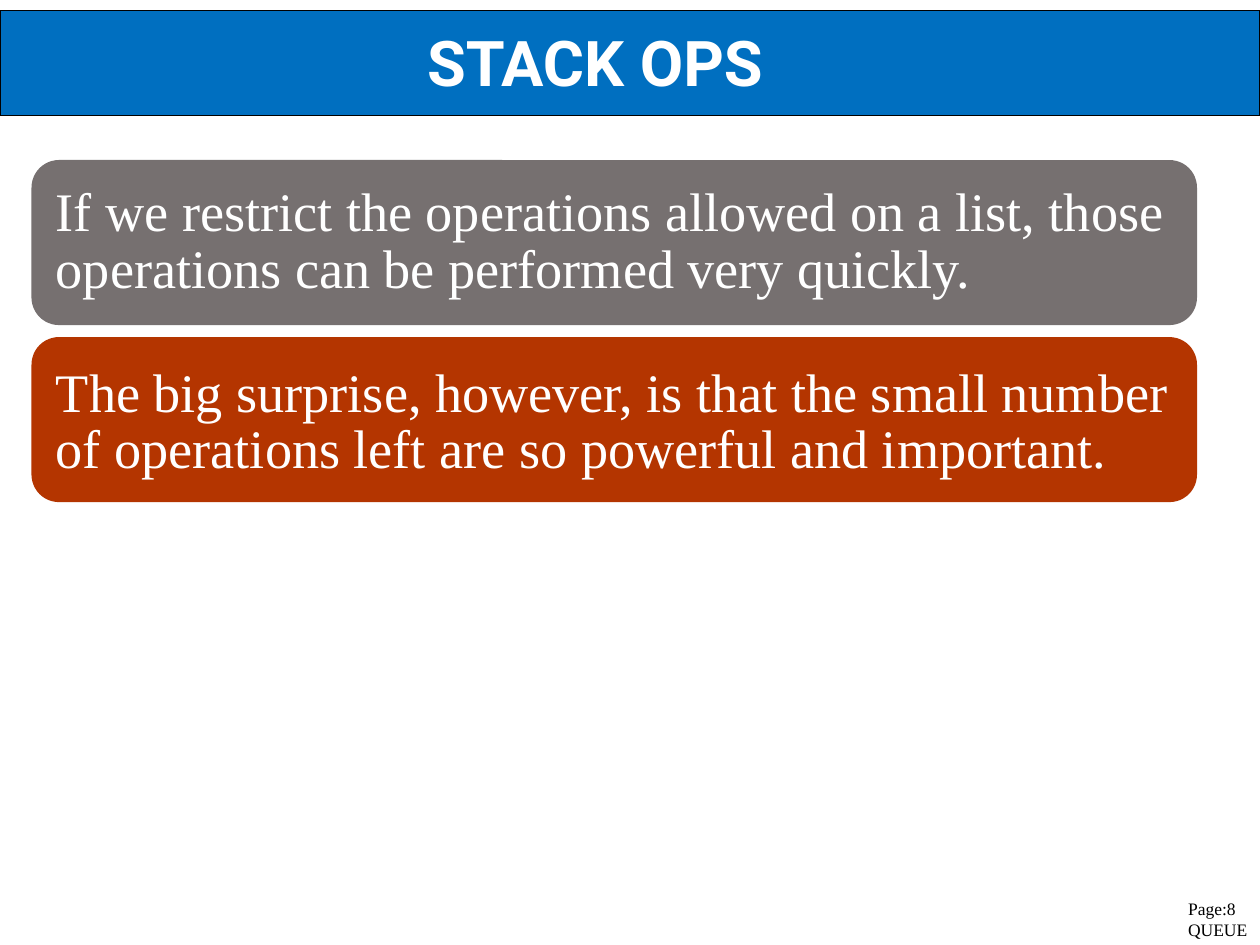
from pptx import Presentation
from pptx.dml.color import RGBColor
from pptx.enum.shapes import MSO_SHAPE as Shape
from pptx.enum.text import MSO_ANCHOR as Anchor, MSO_AUTO_SIZE as Fit, PP_ALIGN as Align
from pptx.util import Inches, Pt

BLUE = RGBColor(0x00, 0x6F, 0xC0)
GREY = RGBColor(0x76, 0x70, 0x70)
RUST = RGBColor(0xB4, 0x35, 0x00)
WHITE = RGBColor(0xFF, 0xFF, 0xFF)
BLACK = RGBColor(0x00, 0x00, 0x00)
SERIF = "Times New Roman"
SANS = "Roboto"
COLS, ROWS = 40, 30

PANELS = [
    ("If we restrict the operations allowed on a list, those operations "
     "can be performed very quickly.", GREY, 0),
    ("The big surprise, however, is that the small number of operations "
     "left are so powerful and important.", RUST, 0.06),
]


class Deck:
    """Places elements on a slide by grid columns and rows."""

    def __init__(self):
        self.prs = Presentation()
        self.prs.slide_width = Inches(10)
        self.prs.slide_height = Inches(7.5)
        self.slide = self.prs.slides.add_slide(self.prs.slide_layouts[5])

    def area(self, col, row, wide, high):
        x = self.prs.slide_width / COLS
        y = self.prs.slide_height / ROWS
        return int(col * x), int(row * y), int(wide * x), int(high * y)

    def label(self, shape, text, font, size, color, inset=(0, 0, 0, 0),
              bold=False, lead=None, anchor=Anchor.TOP):
        """Fill a shape with text; inset is left, top, right, bottom in inches."""
        frame = shape.text_frame
        frame.text = text
        frame.word_wrap = True
        frame.auto_size = Fit.NONE
        frame.vertical_anchor = anchor
        (frame.margin_left, frame.margin_top,
         frame.margin_right, frame.margin_bottom) = map(Inches, inset)
        par = frame.paragraphs[0]
        par.alignment = Align.LEFT
        if lead:
            par.line_spacing = Pt(lead)
        face = par.runs[0].font
        face.name, face.size, face.bold = font, Pt(size), bold
        face.color.rgb = color

    def title(self, text, *cells):
        bar = self.slide.shapes.title
        bar.left, bar.top, bar.width, bar.height = self.area(*cells)
        bar.fill.solid()
        bar.fill.fore_color.rgb = BLUE
        bar.line.color.rgb = BLACK
        bar.line.width = Pt(0.75)
        self.label(bar, text, SANS, 36, WHITE, (3.39, 0.1, 0, 0), bold=True)

    def panel(self, text, fill, drop, *cells):
        """Add a rounded panel; drop is its top inset in inches."""
        box = self.slide.shapes.add_shape(Shape.ROUNDED_RECTANGLE, *self.area(*cells))
        box.shadow.inherit = False
        box.fill.solid()
        box.fill.fore_color.rgb = fill
        box.line.fill.background()
        self.label(box, text, SERIF, 31, WHITE, (0.13, drop, 0.13, 0),
                   lead=32.2, anchor=Anchor.MIDDLE)

    def footer(self, text, *cells):
        box = self.slide.shapes.add_textbox(*self.area(*cells))
        self.label(box, text, SERIF, 10, BLACK, (0.01, 0, 0, 0), lead=12)


def main():
    deck = Deck()
    deck.title("STACK OPS", 0, 0.33, COLS, 3.33)
    for i, (text, fill, drop) in enumerate(PANELS):
        deck.panel(text, fill, drop, 1, 5.08 + i * 5.62, 37, 5.24)
    deck.footer("Page:8 QUEUE", 37.68, 28.5, 2.16, 1.4)
    deck.prs.save("out.pptx")


if __name__ == "__main__":
    main()
